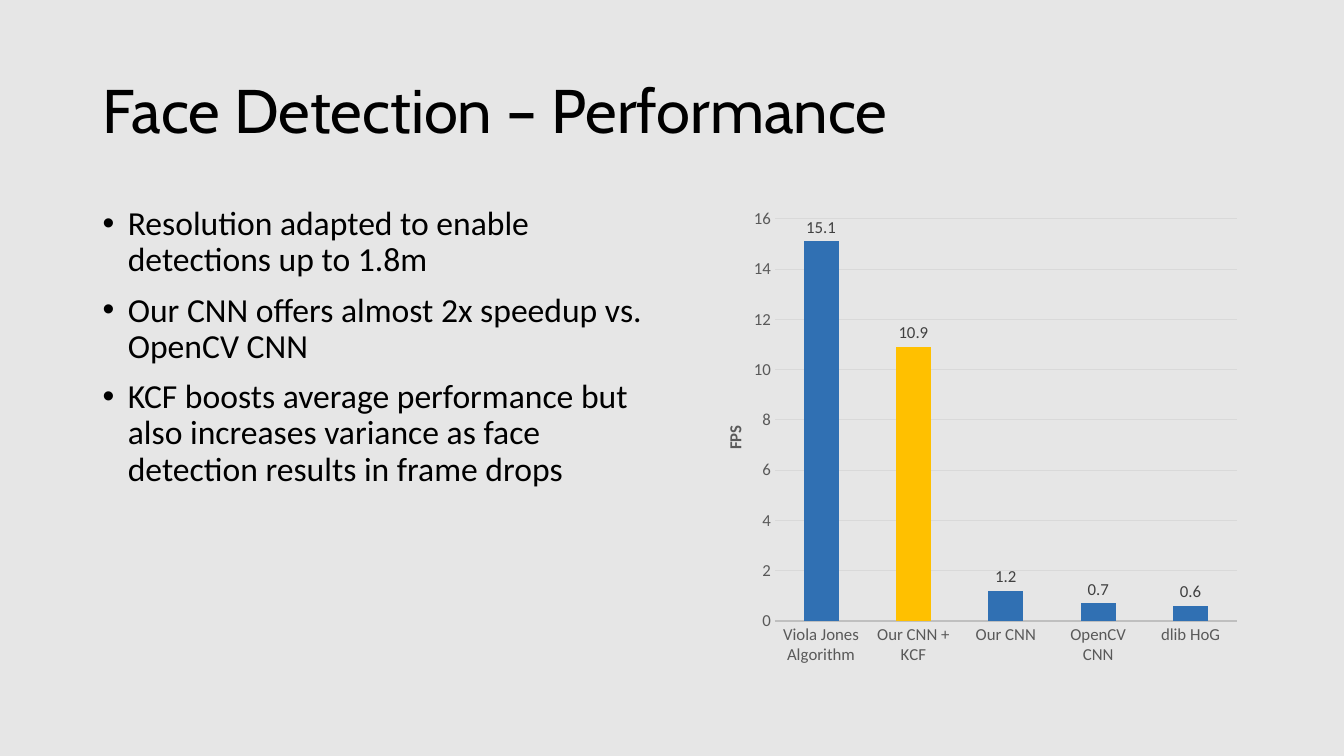
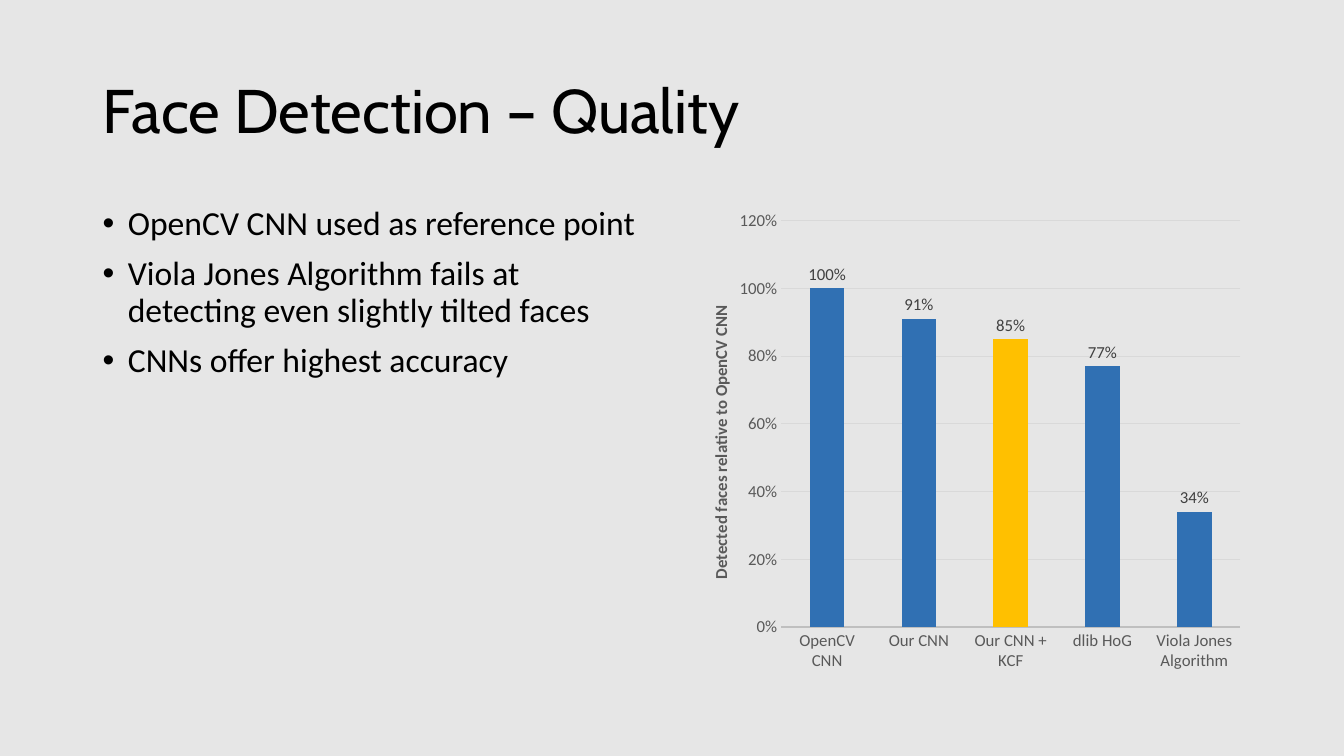
from lxml import etree
from pptx import Presentation
from pptx.chart.data import CategoryChartData
from pptx.dml.color import RGBColor
from pptx.enum import chart as charts, text
from pptx.oxml import ns
from pptx.util import Inches, Pt

BACKGROUND = RGBColor(0xE6, 0xE6, 0xE6)
BLACK = RGBColor(0, 0, 0)
BLUE = RGBColor(0x30, 0x70, 0xB3)
YELLOW = RGBColor(0xFF, 0xC0, 0x00)
AXIS_TEXT = RGBColor(0x59, 0x59, 0x59)
LABEL_TEXT = RGBColor(0x40, 0x40, 0x40)
AXIS_LINE = RGBColor(0xBF, 0xBF, 0xBF)
GRID_LINE = RGBColor(0xD9, 0xD9, 0xD9)
TITLE_FONT, BODY_FONT = "Cabin", "Calibri"
LEFT, CHART_LEFT, BODY_TOP = Inches(0.92), Inches(6.75), Inches(2)
BODY_WIDTH, BODY_HEIGHT = Inches(5.67), Inches(4.76)


def style_font(font, name, size, color, bold=False):
    font.name, font.size, font.bold = name, Pt(size), bold
    font.color.rgb = color


def place(parent, index, **fractions):
    for layout in parent.findall(ns.qn("c:layout")):
        parent.remove(layout)
    layout = etree.Element(ns.qn("c:layout"))
    manual = etree.SubElement(layout, ns.qn("c:manualLayout"))
    if "w" in fractions:
        etree.SubElement(manual, ns.qn("c:layoutTarget"), val="inner")
    for key in ("x", "y"):
        etree.SubElement(manual, ns.qn(f"c:{key}Mode"), val="edge")
    for key, value in fractions.items():
        etree.SubElement(manual, ns.qn(f"c:{key}"), val=str(value))
    parent.insert(index, layout)


class Deck:
    """Holds the shared style and the slide being built."""

    def __init__(self):
        self.presentation = Presentation()
        self.presentation.slide_width = Inches(13.33)
        self.presentation.slide_height = Inches(7.5)
        fill = self.presentation.slide_master.background.fill
        fill.solid()
        fill.fore_color.rgb = BACKGROUND
        self.slide = None

    def add_slide(self, heading):
        layout = self.presentation.slide_layouts.get_by_name("Title Only")
        self.slide = self.presentation.slides.add_slide(layout)
        title = self.slide.shapes.title
        title.left, title.top = LEFT, Inches(0.4)
        title.width, title.height = Inches(11.5), Inches(1.45)
        title.text_frame.text = heading
        title.text_frame.vertical_anchor = text.MSO_ANCHOR.MIDDLE
        paragraph = title.text_frame.paragraphs[0]
        paragraph.alignment = text.PP_ALIGN.LEFT
        paragraph.line_spacing = 0.9
        style_font(paragraph.font, TITLE_FONT, 44, BLACK)

    def add_bullets(self, items):
        box = self.slide.shapes.add_textbox(LEFT, BODY_TOP, BODY_WIDTH, BODY_HEIGHT)
        frame = box.text_frame
        frame.word_wrap = True
        frame.text = "\n".join(items)
        for index, paragraph in enumerate(frame.paragraphs):
            properties = paragraph._p.get_or_add_pPr()
            properties.set("marL", str(Inches(0.25)))
            properties.set("indent", str(-Inches(0.25)))
            etree.SubElement(properties, ns.qn("a:buFont"), typeface="Arial")
            etree.SubElement(properties, ns.qn("a:buChar"), char="•")
            paragraph.line_spacing = 0.9
            paragraph.space_before = Pt(10 if index else 0)
            style_font(paragraph.font, BODY_FONT, 24, BLACK)

    def add_column_chart(self, values, highlight, axis_title, maximum, step,
                         number_format, plot_area, title_position):
        data = CategoryChartData()
        data.categories = values.keys()
        data.add_series("Series 1", values.values())
        chart = self.slide.shapes.add_chart(
            charts.XL_CHART_TYPE.COLUMN_CLUSTERED, CHART_LEFT, BODY_TOP,
            BODY_WIDTH, BODY_HEIGHT, data).chart
        chart.has_legend = chart.has_title = False
        style_font(chart.font, BODY_FONT, 10, BLACK)
        self.style_columns(chart.plots[0], list(values).index(highlight), number_format)
        self.style_axes(chart, maximum, step, number_format)
        self.add_axis_title(chart.value_axis, axis_title, title_position)
        place(chart._chartSpace.chart.plotArea, 0, **plot_area)

    def style_columns(self, plot, highlight, number_format):
        plot.gap_width, plot.overlap = 164, -22
        plot.vary_by_categories = False
        series = plot.series[0]
        for column, color in ((series, BLUE), (series.points[highlight], YELLOW)):
            column.format.fill.solid()
            column.format.fill.fore_color.rgb = color
        labels = series.data_labels
        labels.show_value = True
        labels.position = charts.XL_LABEL_POSITION.OUTSIDE_END
        labels.number_format = number_format
        labels.number_format_is_linked = False
        style_font(labels.font, BODY_FONT, 12, LABEL_TEXT)

    def style_axes(self, chart, maximum, step, number_format):
        for axis in (chart.category_axis, chart.value_axis):
            axis.major_tick_mark = axis.minor_tick_mark = charts.XL_TICK_MARK.NONE
            style_font(axis.tick_labels.font, BODY_FONT, 12, AXIS_TEXT)
        line = chart.category_axis.format.line
        line.color.rgb, line.width = AXIS_LINE, Pt(1.5)
        axis = chart.value_axis
        axis.minimum_scale, axis.maximum_scale, axis.major_unit = 0, maximum, step
        axis.tick_labels.number_format = number_format
        axis.tick_labels.number_format_is_linked = False
        axis.format.line.fill.background()
        grid = axis.major_gridlines.format.line
        grid.color.rgb, grid.width = GRID_LINE, Pt(0.75)

    def add_axis_title(self, axis, caption, position):
        frame = axis.axis_title.text_frame
        frame.text = caption
        style_font(frame.paragraphs[0].font, BODY_FONT, 12, AXIS_TEXT, bold=True)
        place(axis.axis_title._element, 1, **position)


def main():
    deck = Deck()
    deck.add_slide("Face Detection – Performance")
    deck.add_bullets([
        "Resolution adapted to enable detections up to 1.8m",
        "Our CNN offers almost 2x speedup vs. OpenCV CNN",
        "KCF boosts average performance but also increases variance as face "
        "detection results in frame drops",
    ])
    deck.add_column_chart(
        {"Viola Jones Algorithm": 15.1, "Our CNN + KCF": 10.9, "Our CNN": 1.2,
         "OpenCV CNN": 0.7, "dlib HoG": 0.6},
        "Our CNN + KCF", "FPS", 16, 2, "General",
        plot_area={"x": 0.165, "y": 0.036, "w": 0.808, "h": 0.838},
        title_position={"x": 0.07, "y": 0.46})

    deck.add_slide("Face Detection – Quality")
    deck.add_bullets([
        "OpenCV CNN used as reference point",
        "Viola Jones Algorithm fails at detecting even slightly tilted faces",
        "CNNs offer highest accuracy",
    ])
    deck.add_column_chart(
        {"OpenCV CNN": 1, "Our CNN": 0.91, "Our CNN + KCF": 0.85,
         "dlib HoG": 0.77, "Viola Jones Algorithm": 0.34},
        "Our CNN + KCF", "Detected faces relative to OpenCV CNN", 1.2, 0.2, "0%",
        plot_area={"x": 0.176, "y": 0.04, "w": 0.803, "h": 0.847},
        title_position={"x": 0.045, "y": 0.21})
    deck.presentation.save("out.pptx")


if __name__ == "__main__":
    main()
